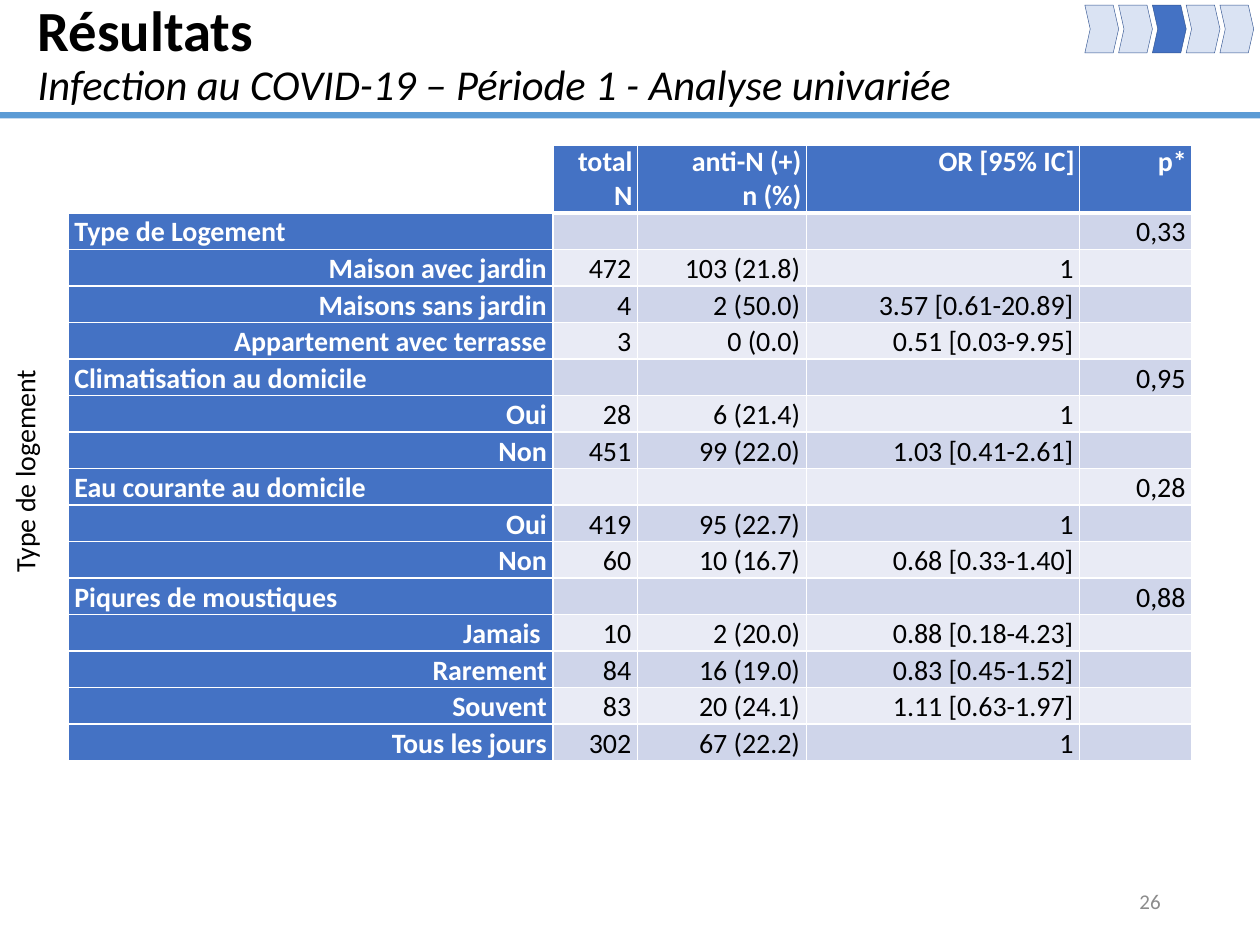
from dataclasses import dataclass

from lxml import etree
from pptx import Presentation
from pptx import util as u
from pptx.dml.color import RGBColor
from pptx.enum import shapes, text
from pptx.oxml import ns


@dataclass(frozen=True)
class Theme:
    font: str = "Calibri"
    black: str = "000000"
    white: str = "FFFFFF"
    gray: str = "8C8C8C"
    rule: str = "5B9BD5"
    accent: str = "4472C4"
    pale: str = "DAE3F3"
    outline: str = "325491"
    bands: tuple = ("CFD5EA", "E9EBF5")
    title: float = 32.4
    subtitle: float = 24.3
    body: float = 16
    small: float = 12


THEME = Theme()
LEFT, RIGHT, CENTER = text.PP_ALIGN.LEFT, text.PP_ALIGN.RIGHT, text.PP_ALIGN.CENTER

COLUMN_WIDTHS = (3.85, 0.67, 1.34, 2.17, 0.89)
HEADER_HEIGHT, ROW_HEIGHT = 0.54, 0.29
HEADERS = ("", "total\nN", "anti-N (+)\nn (%)", "OR [95% IC]", "p*")
GROUPS = (
    ("Type de Logement", "0,33", (
        ("Maison avec jardin", "472", "103 (21.8)", "1"),
        ("Maisons sans jardin", "4", "2 (50.0)", "3.57 [0.61-20.89]"),
        ("Appartement avec terrasse", "3", "0 (0.0)", "0.51 [0.03-9.95]"),
    )),
    ("Climatisation au domicile", "0,95", (
        ("Oui", "28", "6 (21.4)", "1"),
        ("Non", "451", "99 (22.0)", "1.03 [0.41-2.61]"),
    )),
    ("Eau courante au domicile", "0,28", (
        ("Oui", "419", "95 (22.7)", "1"),
        ("Non", "60", "10 (16.7)", "0.68 [0.33-1.40]"),
    )),
    ("Piqures de moustiques", "0,88", (
        ("Jamais ", "10", "2 (20.0)", "0.88 [0.18-4.23]"),
        ("Rarement", "84", "16 (19.0)", "0.83 [0.45-1.52]"),
        ("Souvent", "83", "20 (24.1)", "1.11 [0.63-1.97]"),
        ("Tous les jours", "302", "67 (22.2)", "1"),
    )),
)


def inches(box):
    return [u.Inches(length) for length in box]


def style_font(font, size, color, bold=False, italic=False):
    font.name = THEME.font
    font.size = u.Pt(size)
    font.bold = bold
    font.italic = italic
    font.color.rgb = RGBColor.from_string(color)


def add_filled(parent, kind, box, color):
    shape = parent.add_shape(kind, *inches(box))
    shape.shadow.inherit = False
    shape.fill.solid()
    shape.fill.fore_color.rgb = RGBColor.from_string(color)
    shape.line.fill.background()
    return shape


def add_text_box(slide, box, anchor, align):
    shape = slide.shapes.add_textbox(*inches(box))
    frame = shape.text_frame
    frame.word_wrap = True
    frame.vertical_anchor = anchor
    frame.paragraphs[0].alignment = align
    return shape, frame.paragraphs[0]


def add_label(slide, box, words, size, color, anchor, align, rotation=0):
    shape, paragraph = add_text_box(slide, box, anchor, align)
    shape.rotation = rotation
    paragraph.add_run().text = words
    style_font(paragraph.font, size, color)


def add_title(slide, box, title, subtitle):
    shape, paragraph = add_text_box(slide, box, text.MSO_ANCHOR.MIDDLE, LEFT)
    paragraph.line_spacing = 0.9
    heading = paragraph.add_run()
    heading.text = title
    style_font(heading.font, THEME.title, THEME.black, bold=True)
    paragraph.add_line_break()
    detail = paragraph.add_run()
    detail.text = subtitle
    style_font(detail.font, THEME.subtitle, THEME.black, italic=True)


def add_progress(slide, box, steps, current):
    left, top, width, height = box
    step = width / steps
    group = slide.shapes.add_group_shape()
    for index in range(steps):
        color = THEME.accent if index == current else THEME.pale
        chevron = add_filled(group.shapes, shapes.MSO_SHAPE.CHEVRON,
                             (left + index * step, top, step, height), color)
        chevron.adjustments[0] = 0.16
        chevron.line.color.rgb = RGBColor.from_string(THEME.outline)
        chevron.line.width = u.Pt(0.25)


def add_borders(cell, bottom):
    properties = cell._tc.get_or_add_tcPr()
    for side, width in (("L", 1), ("R", 1), ("T", 1), ("B", bottom)):
        line = etree.SubElement(properties, ns.qn("a:ln" + side), w=str(u.Pt(width)))
        fill = etree.SubElement(line, ns.qn("a:solidFill"))
        etree.SubElement(fill, ns.qn("a:srgbClr"), val=THEME.white)


def fill_cell(cell, words, fill, color, align, margin, spacing, bold, bottom=1):
    add_borders(cell, bottom)
    cell.fill.solid()
    cell.fill.fore_color.rgb = RGBColor.from_string(fill)
    cell.margin_left = cell.margin_right = u.Inches(margin)
    cell.margin_top = cell.margin_bottom = 0
    cell.text = words
    for paragraph in cell.text_frame.paragraphs:
        paragraph.alignment = align
        paragraph.line_spacing = spacing
        style_font(paragraph.font, THEME.body, color, bold)
        if not words:
            etree.SubElement(paragraph._p, ns.qn("a:endParaRPr"), sz=str(THEME.body * 100))


def table_rows():
    for name, p_value, levels in GROUPS:
        yield LEFT, (name, "", "", "", p_value)
        for level in levels:
            yield RIGHT, (*level, "")


def add_results_table(slide, box):
    rows = list(table_rows())
    table = slide.shapes.add_table(len(rows) + 1, len(HEADERS), *inches(box)).table
    table.first_row = table.horz_banding = False
    for column, width in zip(table.columns, COLUMN_WIDTHS):
        column.width = u.Inches(width)
    for row in table.rows:
        row.height = u.Inches(ROW_HEIGHT)
    table.rows[0].height = u.Inches(HEADER_HEIGHT)

    for index, words in enumerate(HEADERS):
        cell = table.cell(0, index)
        fill_cell(cell, words, THEME.accent, THEME.white, RIGHT, 0.04, 1, True, 3 if words else 1)
    table.cell(0, 0).fill.background()

    for index, (label_align, values) in enumerate(rows):
        label, *figures = values
        fill_cell(table.cell(index + 1, 0), label, THEME.accent, THEME.white,
                  label_align, 0.05, 1.07, True)
        for column, figure in enumerate(figures, 1):
            fill_cell(table.cell(index + 1, column), figure, THEME.bands[index % 2],
                      THEME.black, RIGHT, 0.05, 1.07, False)


def main():
    presentation = Presentation()
    presentation.slide_width, presentation.slide_height = u.Inches(10), u.Inches(7.5)
    slide = presentation.slides.add_slide(presentation.slide_layouts[6])
    add_filled(slide.shapes, shapes.MSO_SHAPE.RECTANGLE, (0, 0.89, 10, 0.05), THEME.rule)
    add_title(slide, (0.2, 0, 9.11, 0.89), "Résultats",
              "Infection au COVID-19 – Période 1 - Analyse univariée")
    add_label(slide, (7.06, 6.95, 2.25, 0.4), "26", THEME.small, THEME.gray,
              text.MSO_ANCHOR.MIDDLE, RIGHT)
    add_progress(slide, (8.61, 0.04, 1.34, 0.38), 5, 2)
    table_height = HEADER_HEIGHT + ROW_HEIGHT * len(list(table_rows()))
    add_results_table(slide, (0.54, 1.15, sum(COLUMN_WIDTHS), table_height))
    add_label(slide, (-1.83, 3.55, 4.06, 0.38), "Type de logement", THEME.body, THEME.black,
              text.MSO_ANCHOR.TOP, CENTER, rotation=270)
    presentation.save("out.pptx")


if __name__ == "__main__":
    main()
